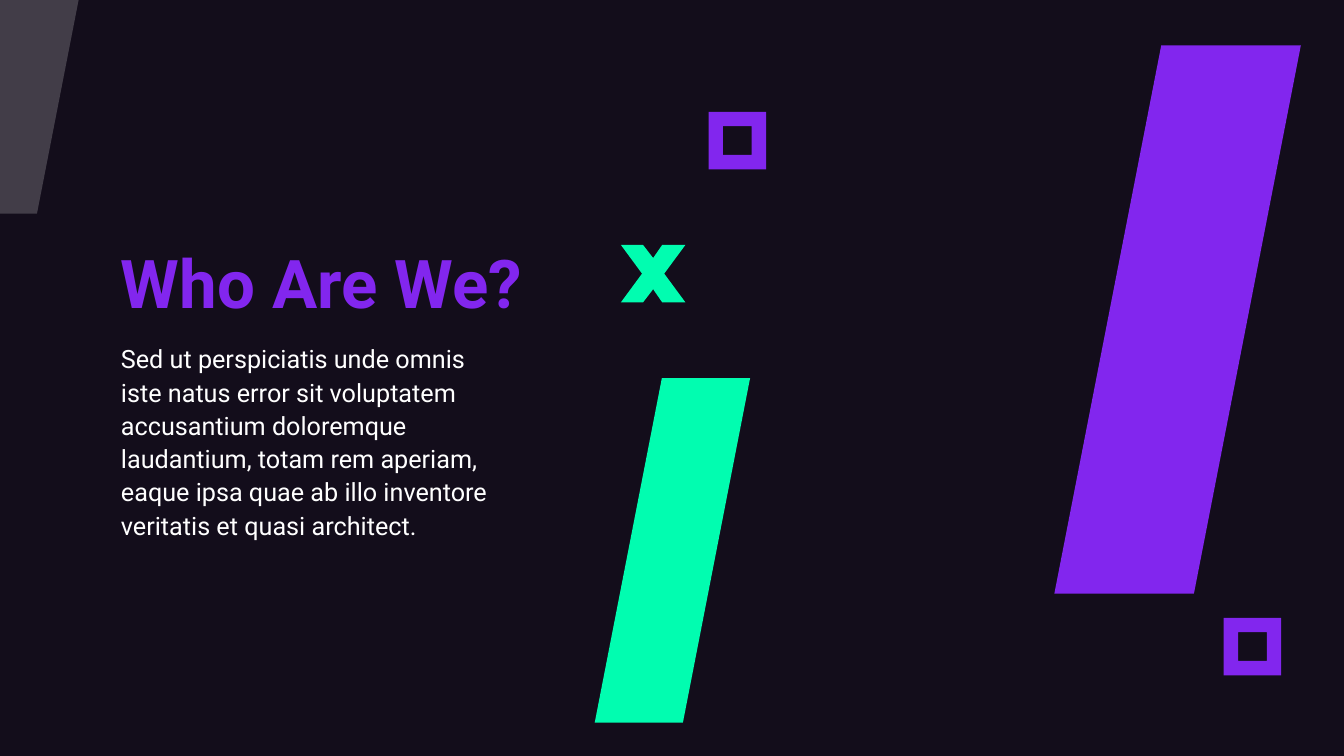
from dataclasses import dataclass

from lxml.etree import SubElement
from pptx import Presentation
from pptx.dml.color import RGBColor
from pptx.enum.shapes import MSO_SHAPE as Preset
from pptx.enum.text import MSO_ANCHOR as Anchor
from pptx.oxml.ns import qn
from pptx.util import Inches, Pt

CELL = Inches(0.1)
COLUMNS, ROWS = 133.33, 75
SLANT = 0.195
FONT = "Roboto"
COLORS = {"night": "130D1B", "purple": "8226EE", "mint": "01FDB0", "white": "FFFFFF"}

Points = list[tuple[float, float]]


@dataclass
class Bar:
    column: float
    row: float
    width: float
    height: float
    color: str


@dataclass
class Frame:
    column: float
    row: float


BARS = [
    Bar(104.6, 4.5, 13.85, 54.4, "purple"),
    Bar(59, 37.5, 8.75, 34.2, "mint"),
]
FRAMES = [Frame(121.4, 61.3), Frame(70.3, 11.1)]
FRAME_SIZE = 5.7
CROSS: Points = [
    (61.6, 24.3), (63.8, 24.3), (64.8, 25.6), (65.7, 24.3), (68, 24.3), (65.9, 27.15),
    (68, 30), (65.7, 30), (64.8, 28.7), (63.8, 30), (61.6, 30), (63.7, 27.15),
]
CORNER_WIDTH, CORNER_HEIGHT = 7.8, 21.2
TEXT_COLUMN, TEXT_WIDTH = 12, 41.5


def cells(count: float) -> int:
    return round(count * CELL)


def rgb(color: str) -> RGBColor:
    return RGBColor.from_string(COLORS[color])


def paint(shape, color: str, opacity: int = 100) -> None:
    shape.shadow.inherit = False
    shape.line.fill.background()
    shape.fill.solid()
    shape.fill.fore_color.rgb = rgb(color)
    if opacity < 100:
        tint = shape.fill._xPr.find(qn("a:solidFill"))[0]
        SubElement(tint, qn("a:alpha")).set("val", str(opacity * 1000))


def draw_outline(page, points: Points, color: str, opacity: int = 100) -> None:
    start, *others = [(cells(column), cells(row)) for column, row in points]
    builder = page.shapes.build_freeform(*start)
    builder.add_line_segments(others, close=True)
    paint(builder.convert_to_shape(), color, opacity)


def draw_bar(page, bar: Bar) -> None:
    lean = bar.height * SLANT
    right, bottom = bar.column + bar.width, bar.row + bar.height
    draw_outline(page, [(bar.column + lean, bar.row), (right + lean, bar.row),
                        (right, bottom), (bar.column, bottom)], bar.color)


def draw_frame(page, frame: Frame) -> None:
    shape = page.shapes.add_shape(Preset.FRAME, cells(frame.column), cells(frame.row),
                                  cells(FRAME_SIZE), cells(FRAME_SIZE))
    shape.adjustments[0] = 0.25
    paint(shape, "purple")


def add_text(page, text: str, *, row: float, height: float, size: int, color: str,
             spacing: float, bold: bool = False, anchor: Anchor = Anchor.TOP) -> None:
    box = page.shapes.add_textbox(cells(TEXT_COLUMN), cells(row),
                                  cells(TEXT_WIDTH), cells(height)).text_frame
    box.word_wrap = True
    box.vertical_anchor = anchor
    box.margin_left = box.margin_right = box.margin_top = box.margin_bottom = 0
    para = box.paragraphs[0]
    para.text = text
    para.line_spacing = spacing
    for span in para.runs:
        span.font.name = FONT
        span.font.size = Pt(size)
        span.font.bold = bold
        span.font.color.rgb = rgb(color)


deck = Presentation()
deck.slide_width, deck.slide_height = cells(COLUMNS), cells(ROWS)
page = deck.slides.add_slide(deck.slide_layouts[6])
page.background.fill.solid()
page.background.fill.fore_color.rgb = rgb("night")

add_text(page, "Who Are We?", row=9.5, height=22.5, size=48, color="purple",
         spacing=0.9, bold=True, anchor=Anchor.BOTTOM)
add_text(page, "Sed ut perspiciatis unde omnis \viste natus error sit voluptatem "
         "accusantium doloremque laudantium, totam rem aperiam, eaque ipsa quae ab "
         "illo inventore veritatis et quasi architect.",
         row=33.8, height=31.6, size=18, color="white", spacing=1.1)

for bar in BARS:
    draw_bar(page, bar)
draw_outline(page, CROSS, "mint")
for frame in FRAMES:
    draw_frame(page, frame)
draw_outline(page, [(0, 0), (CORNER_WIDTH, 0),
                    (CORNER_WIDTH - CORNER_HEIGHT * SLANT, CORNER_HEIGHT),
                    (0, CORNER_HEIGHT)], "white", opacity=20)

deck.save("out.pptx")
